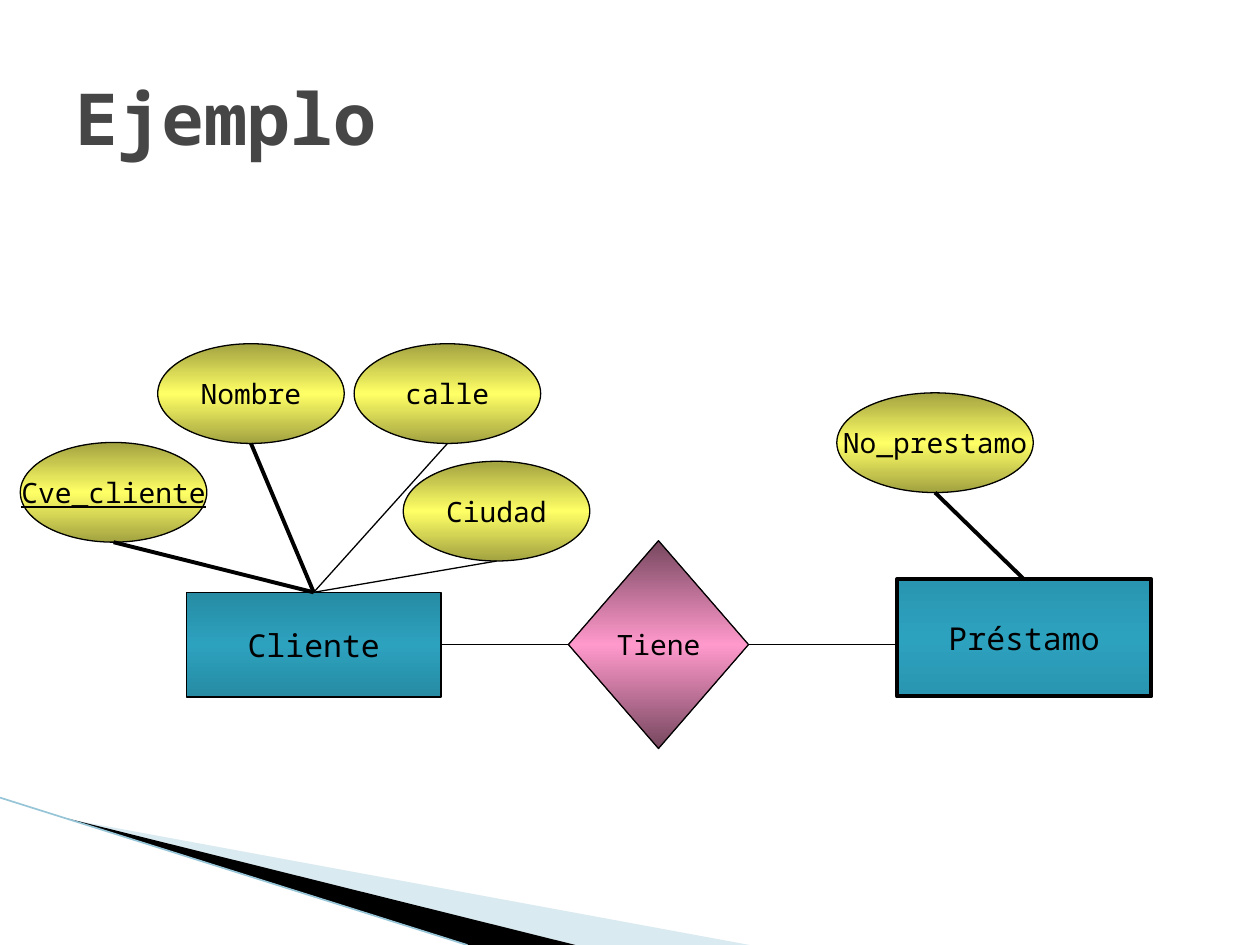
from copy import deepcopy

from lxml.etree import SubElement
from pptx import Presentation
from pptx.dml.color import RGBColor
from pptx.enum.shapes import MSO_CONNECTOR as Link, MSO_SHAPE as Geo
from pptx.enum.text import MSO_ANCHOR as Anchor, PP_ALIGN as Align
from pptx.oxml.ns import qn
from pptx.util import Cm, Pt

THIN, THICK = 0.75, 2.25


def rgb(value):
    """Turn a hex string into a colour."""
    return RGBColor.from_string(value)


class Diagram:
    """Style and current slide of an entity-relationship diagram."""

    font = "Noto Sans Mono"
    ink = "000000"
    title_ink = "464646"

    def __init__(self, prs):
        """Add a title-only slide."""
        self.slide = prs.slides.add_slide(prs.slide_layouts[5])
        self.shapes = self.slide.shapes

    def label(self, tf, text, align, color, **fmt):
        """Put one formatted paragraph in a text frame."""
        tf.vertical_anchor = Anchor.MIDDLE
        p = tf.paragraphs[0]
        p.alignment = align
        r = p.add_run()
        r.text = text
        r.font.color.rgb = rgb(color)
        for name, value in {"name": self.font, **fmt}.items():
            setattr(r.font, name, value)

    def title(self, text, left, top, width, height):
        """Place and fill the title placeholder."""
        sp = self.shapes.title
        box = {"left": left, "top": top, "width": width, "height": height}
        for name, value in box.items():
            setattr(sp, name, Cm(value))
        self.label(sp.text_frame, text, Align.LEFT, self.title_ink,
                   size=Pt(41), bold=True)

    def wedge(self, points, color, alpha=None):
        """Draw a filled polygon, opaque unless alpha (percent) is given."""
        start, *rest = [(Cm(x), Cm(y)) for x, y in points]
        builder = self.shapes.build_freeform(*start)
        builder.add_line_segments(rest, close=True)
        sp = builder.convert_to_shape()
        sp.shadow.inherit = False
        sp.line.fill.background()
        sp.fill.solid()
        sp.fill.fore_color.rgb = rgb(color)
        if alpha is not None:
            clr = sp._element.spPr.find(".//" + qn("a:srgbClr"))
            SubElement(clr, qn("a:alpha")).set("val", str(alpha * 1000))

    def line(self, begin, end, weight=THIN, color=ink):
        """Draw a straight connector between two points."""
        cxn = self.shapes.add_connector(
            Link.STRAIGHT, *[Cm(v) for v in (*begin, *end)])
        cxn.line.width = Pt(weight)
        cxn.line.color.rgb = rgb(color)
        SubElement(cxn._element.spPr, qn("a:effectLst"))

    def node(self, geo, text, box, edge, middle, size=16, weight=THIN,
             underline=None):
        """Draw a labelled shape with a mirrored vertical gradient."""
        sp = self.shapes.add_shape(geo, *[Cm(v) for v in box])
        sp.shadow.inherit = False
        sp.line.width = Pt(weight)
        sp.line.color.rgb = rgb(self.ink)
        sp.fill.gradient()
        sp.fill.gradient_angle = 90
        stops = sp._element.spPr.find(".//" + qn("a:gsLst"))
        stops.insert(1, deepcopy(stops[0]))
        colors = (edge, middle, edge)
        for i, (stop, color) in enumerate(zip(sp.fill.gradient_stops, colors)):
            stop.position = i / 2
            stop.color.rgb = rgb(color)
        sp.text_frame.word_wrap = False
        self.label(sp.text_frame, text, Align.CENTER, self.ink,
                   size=Pt(size), underline=underline)

    def entity(self, text, box, edge, weight=THIN):
        """Draw an entity and return the middle of its top side."""
        self.node(Geo.RECTANGLE, text, box, edge, "2DA2BF", 18, weight)
        return box[0] + box[2] / 2, box[1]

    def attribute(self, text, left, top, target, weight, width=3.76,
                  underline=None):
        """Draw an attribute and join its bottom to the target point."""
        height = 2.01
        self.node(Geo.OVAL, text, (left, top, width, height),
                  "A2A241", "FFFF66", underline=underline)
        self.line((left + width / 2, top + height), target, weight)


prs = Presentation()
prs.slide_width, prs.slide_height = Cm(25.4), Cm(19.05)
d = Diagram(prs)

d.wedge([(1.4, 16.52), (15.11, 19.05), (11.58, 19.05)], "A0CBDC", 40)
d.wedge([(1.36, 16.5), (11.6, 19.05), (9.45, 19.05)], "000000")
d.line((0, 16.08), (9.42, 19.05), 0.95, "97C5D8")
d.title("Ejemplo", 1.27, 0.76, 22.86, 3.18)

client = (3.76, 11.94, 5.13, 2.11)
loan = (18.08, 11.68, 5.13, 2.36)
relation = (11.46, 10.9, 3.63, 4.19)
client_top = d.entity("Cliente", client, "268BA3")
loan_top = d.entity("Préstamo", loan, "2995B0", THICK)
d.node(Geo.DIAMOND, "Tiene", relation, "76475E", "FF99CC")

axis = relation[1] + relation[3] / 2
for a, b in ((client, relation), (relation, loan)):
    d.line((a[0] + a[2], axis), (b[0], axis))

d.attribute("Cve_cliente", 0.41, 8.92, client_top, THICK, underline=True)
d.attribute("Nombre", 3.18, 6.93, client_top, THICK)
d.attribute("No_prestamo", 16.87, 7.92, loan_top, THICK, width=3.96)
d.attribute("calle", 7.14, 6.93, client_top, THIN)
d.attribute("Ciudad", 8.13, 9.3, client_top, THIN)

prs.save("out.pptx")
